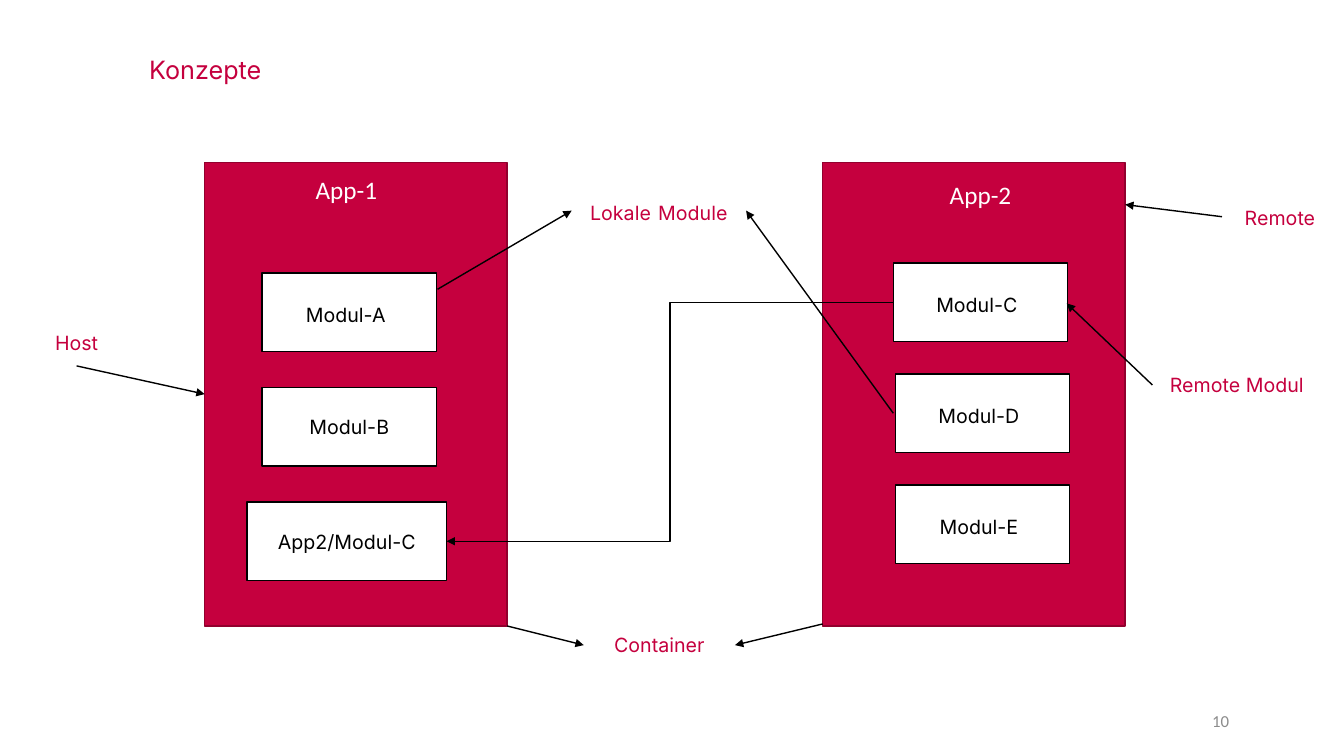
from lxml import etree
from pptx import Presentation
from pptx.dml.color import RGBColor
from pptx.enum.shapes import MSO_CONNECTOR as LINK, MSO_SHAPE as SHAPE
from pptx.enum.text import MSO_ANCHOR as ANCHOR, PP_ALIGN as ALIGN
from pptx.oxml.ns import qn
from pptx.util import Inches, Pt

RED, DARK, BLACK, WHITE, GREY = "C5003E", "92002E", "000000", "FFFFFF", "8C8C8C"

TITLE = "Konzepte"
PAGE = "10"
APP_TOP, APP_W, APP_H = 1.61, 3, 4.6
# left of the app, name, left and top of the name
APPS = [
    (2.03, "App-1", 2.96, 1.68),
    (8.16, "App-2", 9.25, 1.73),
]
MOD_H = 0.78
# left, first top, step, then (runs, left shift, width) per module
STACKS = [
    (2.6, 2.71, 1.135, [(["Modul-A", " "], 0, 1.73), (["Modul-B"], 0, 1.73),
                        (["App2/Modul-C"], -0.15, 1.98)]),
    (8.88, 2.61, 1.1, [(["Modul-C", " "], -0.02, 1.73), (["Modul-D", " "], 0, 1.73),
                       (["Modul-E", " "], 0, 1.73)]),
]
# runs, left, top, width, height
LABELS = [
    (["Host"], 0.1, 3.17, 1.32, 0.46),
    (["Container"], 5.79, 6.11, 1.5, 0.58),
    (["Remote"], 12.12, 1.97, 1.15, 0.37),
    (["Lokale", " ", "Module"], 5.67, 1.7, 1.73, 0.78),
    (["Remote Modul "], 11.43, 3.43, 1.73, 0.78),
]
# kind, from x, from y, to x, to y
ARROWS = [
    (LINK.STRAIGHT, 4.34, 2.87, 5.67, 2.09),
    (LINK.STRAIGHT, 8.86, 4.1, 7.4, 2.09),
    (LINK.STRAIGHT, 0.76, 3.63, 2.03, 3.91),
    (LINK.STRAIGHT, 5.03, 6.21, 5.79, 6.4),
    (LINK.STRAIGHT, 8.16, 6.19, 7.29, 6.4),
    (LINK.STRAIGHT, 12.12, 2.15, 11.16, 2.03),
    (LINK.STRAIGHT, 11.43, 3.82, 10.58, 3.01),
    (LINK.ELBOW, 8.86, 3, 4.43, 5.37),
]


def paint(target, color):
    target.rgb = RGBColor.from_string(color)


def write(frame, parts, size, font, color, align, anchor):
    """Fill a text frame; a lone space between words is set at 18 pt."""
    frame.word_wrap = True
    frame.vertical_anchor = anchor
    para = frame.paragraphs[0]
    para.alignment = align
    for part in parts:
        run = para.add_run()
        run.text = part
        run.font.size = Pt(18 if part == " " else size)
        run.font.name = font
        paint(run.font.color, color)


def add_box(x, y, w, h, fill, edge):
    box = shapes.add_shape(SHAPE.RECTANGLE, *map(Inches, (x, y, w, h)))
    box.shadow.inherit = False
    box.fill.solid()
    paint(box.fill.fore_color, fill)
    paint(box.line.color, edge)
    box.line.width = Pt(1)
    return box


def add_text(x, y, w, h, text, size, color, align, anchor):
    box = shapes.add_textbox(*map(Inches, (x, y, w, h)))
    write(box.text_frame, [text], size, "Calibri", color, align, anchor)


def add_arrow(kind, *ends):
    link = shapes.add_connector(kind, *map(Inches, ends))
    paint(link.line.color, BLACK)
    link.line.width = Pt(1)
    etree.SubElement(link.line._get_or_add_ln(), qn("a:tailEnd"), type="triangle")
    etree.SubElement(link._element.spPr, qn("a:effectLst"))


deck = Presentation()
deck.slide_width, deck.slide_height = Inches(13.33), Inches(7.5)
slide = deck.slides.add_slide(deck.slide_layouts[5])
shapes = slide.shapes

title = shapes.title
title.left, title.top, title.width, title.height = map(Inches, (1.38, 0.51, 5.91, 0.4))
write(title.text_frame, [TITLE], 18, "Inter", RED, ALIGN.LEFT, ANCHOR.MIDDLE)
title.text_frame.paragraphs[0].line_spacing = 0.9
add_text(9.29, 6.95, 3, 0.4, PAGE, 12, GREY, ALIGN.RIGHT, ANCHOR.MIDDLE)

for left, name, x, y in APPS:
    add_box(left, APP_TOP, APP_W, APP_H, RED, DARK)
    add_text(x, y, 0.95, 0.4, name, 18, WHITE, ALIGN.CENTER, ANCHOR.TOP)

for left, top, step, mods in STACKS:
    for row, (parts, shift, width) in enumerate(mods):
        box = add_box(left + shift, top + row * step, width, MOD_H, WHITE, BLACK)
        write(box.text_frame, parts, 14, "Inter", BLACK, ALIGN.CENTER, ANCHOR.MIDDLE)

for parts, *place in LABELS:
    box = add_box(*place, WHITE, WHITE)
    write(box.text_frame, parts, 14, "Inter", RED, ALIGN.CENTER, ANCHOR.MIDDLE)

for arrow in ARROWS:
    add_arrow(*arrow)

deck.save("out.pptx")
